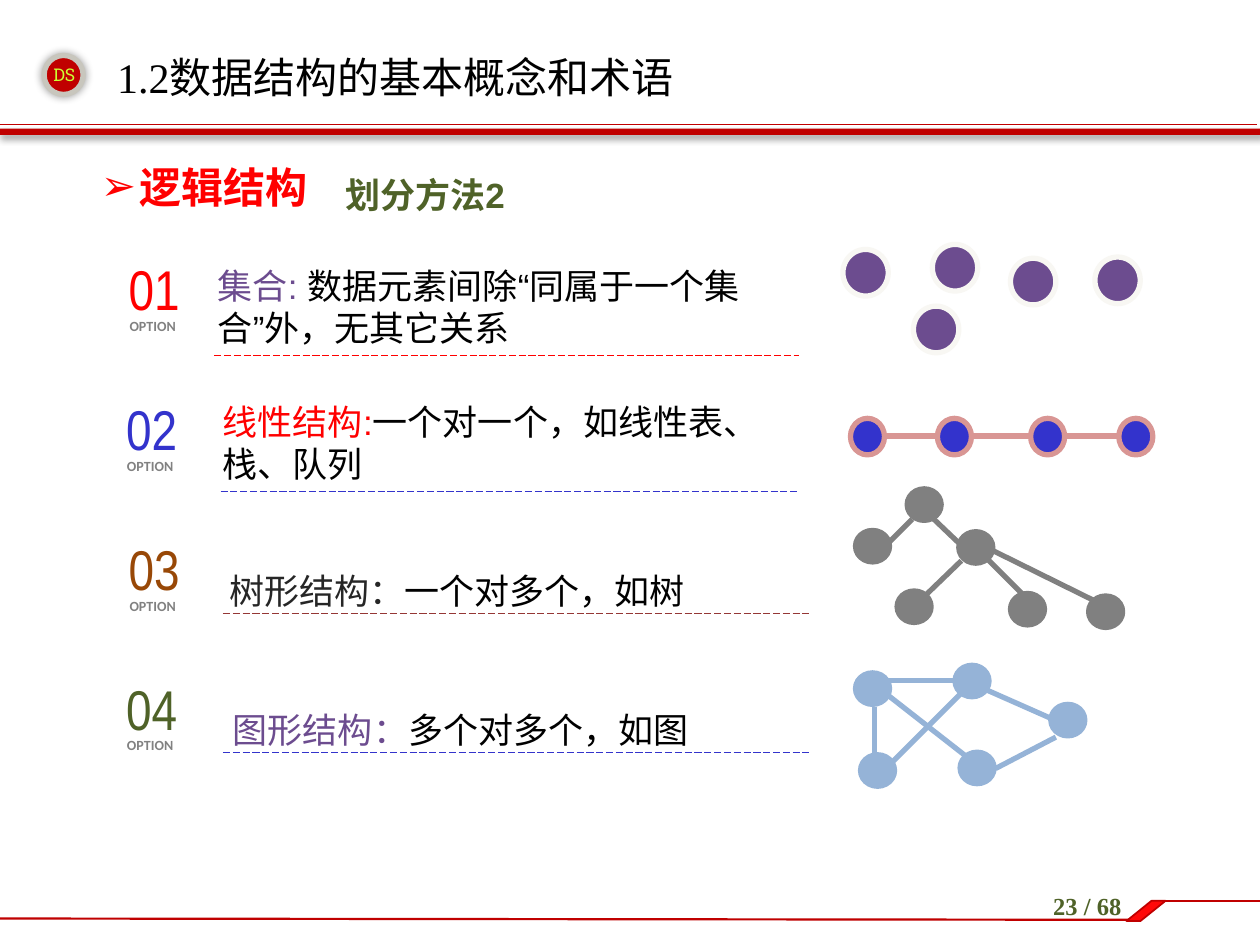
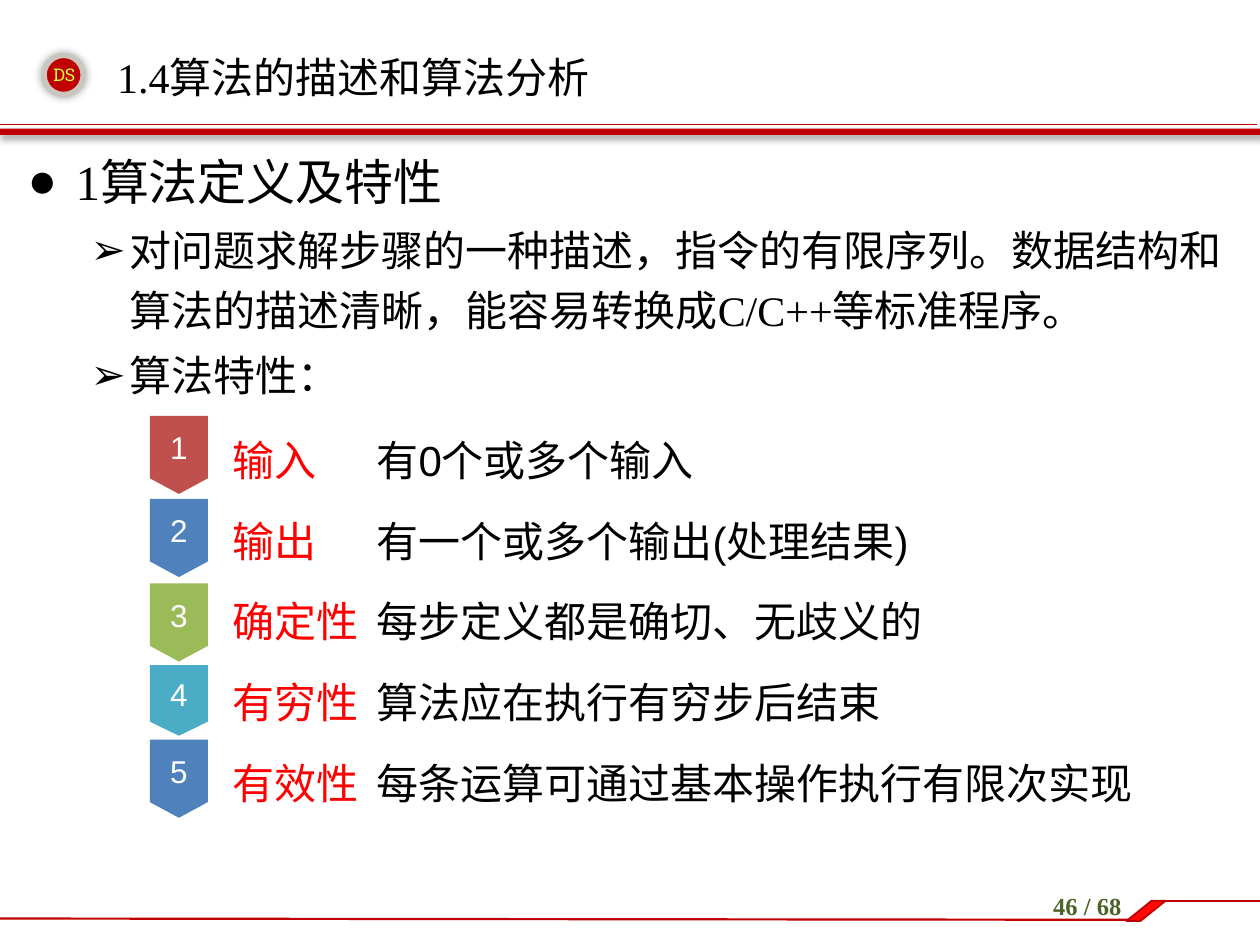
import dataclasses

import lxml.etree
import pptx
import pptx.dml.color
import pptx.enum.dml
import pptx.enum.shapes
import pptx.enum.text
import pptx.oxml.ns
import pptx.util

Inches = pptx.util.Inches
Pt = pptx.util.Pt
SHAPE = pptx.enum.shapes.MSO_SHAPE
ALIGN = pptx.enum.text.PP_ALIGN
ANCHOR = pptx.enum.text.MSO_ANCHOR


@dataclasses.dataclass(frozen=True)
class Theme:
    """Colours, fonts and type sizes shared by the slides."""
    black: str = "000000"
    white: str = "FFFFFF"
    red: str = "FF0000"
    band: str = "C00000"
    tab: str = "FF0909"
    ring: str = "C8C6BD"
    lime: str = "CCFF33"
    green: str = "4F6228"
    blue: str = "3333CC"
    brown: str = "984807"
    maroon: str = "953735"
    purple: str = "6C4C8F"
    ink: str = "262626"
    caption: str = "818181"
    pearl: str = "F8F7F3"
    pink: str = "D99694"
    grey: str = "808080"
    sky: str = "95B3D7"
    sans: str = "Arial"
    narrow: str = "Arial Narrow"
    serif: str = "Times New Roman"
    heading_font: str = "Noto Sans CJK SC"
    badge_font: str = "Roboto Slab"
    caption_font: str = "Calibri"
    caption_size: int = 8
    small: int = 10
    footer: int = 14
    label: int = 18
    text: int = 20
    title: int = 24
    heading: int = 28
    number: int = 32


THEME = Theme()


def rgb(colour):
    """Return a colour object for a hexadecimal string."""
    return pptx.dml.color.RGBColor.from_string(colour)


def apply_format(target, values):
    """Set each named attribute of the target."""
    for name, value in values.items():
        setattr(target, name, value)


def add_element(parent, tag, **attributes):
    """Append a drawing element to its parent."""
    return lxml.etree.SubElement(parent, pptx.oxml.ns.qn(tag), attributes)


def add_run(paragraph, text, size, colour, font=THEME.sans, bold=False):
    """Add a run with its typeface, size and colour."""
    run = paragraph.add_run()
    run.text = text
    apply_format(run.font, {"size": Pt(size), "name": font, "bold": bold})
    run.font.color.rgb = rgb(colour)
    add_element(run.font._element, "a:ea", typeface=THEME.sans)


def format_frame(frame, margins=(0.1, 0.05), anchor=ANCHOR.TOP):
    """Set wrapping, insets and anchor of a text frame."""
    side, edge = map(Inches, margins)
    apply_format(frame, {
        "word_wrap": True, "auto_size": pptx.enum.text.MSO_AUTO_SIZE.NONE,
        "margin_left": side, "margin_right": side,
        "margin_top": edge, "margin_bottom": edge, "vertical_anchor": anchor})


def add_text(shapes, box, runs, align=ALIGN.LEFT, spacing=1.0, **frame_format):
    """Add a one-paragraph text box and return its paragraph."""
    frame = shapes.add_textbox(*map(Inches, box)).text_frame
    format_frame(frame, **frame_format)
    paragraph = frame.paragraphs[0]
    for run in runs:
        add_run(paragraph, *run)
    apply_format(paragraph, {"alignment": align, "line_spacing": spacing})
    return paragraph


def add_shadow(shape, blur, distance, angle):
    """Give a shape a soft dark shadow."""
    effects = shape._element.spPr.find(pptx.oxml.ns.qn("a:effectLst"))
    shadow = add_element(effects, "a:outerShdw", blurRad=str(Pt(blur)), dist=str(Pt(distance)),
                         dir=str(angle * 60000), algn="ctr", rotWithShape="0")
    colour = add_element(shadow, "a:srgbClr", val=THEME.black)
    add_element(colour, "a:alpha", val="40000")


def add_shape(shapes, kind, box, fill, line=None, width=0):
    """Add a filled preset shape, outlined when a line colour is given."""
    shape = shapes.add_shape(kind, *map(Inches, box))
    shape.shadow.inherit = False
    shape.fill.solid()
    shape.fill.fore_color.rgb = rgb(fill)
    if line:
        shape.line.color.rgb = rgb(line)
        shape.line.width = Pt(width)
    else:
        shape.line.fill.background()
    return shape


def add_line(shapes, ends, colour, width, dash=None):
    """Add a straight line from its four end coordinates."""
    connector = shapes.add_connector(pptx.enum.shapes.MSO_CONNECTOR.STRAIGHT, *map(Inches, ends))
    connector.line.color.rgb = rgb(colour)
    apply_format(connector.line, {"width": Pt(width), "dash_style": dash})
    add_element(connector._element.spPr, "a:effectLst")


def add_header(slide, title):
    """Add the title, the round badge and the double red band."""
    placeholder = slide.shapes.title
    apply_format(placeholder, {"left": Inches(0.83), "top": Inches(0.3),
                               "width": Inches(7.95), "height": Inches(0.61)})
    format_frame(placeholder.text_frame, anchor=ANCHOR.MIDDLE)
    paragraph = placeholder.text_frame.paragraphs[0]
    paragraph.alignment = ALIGN.LEFT
    add_run(paragraph, title, THEME.title, THEME.black, THEME.serif)
    badge = add_shape(slide.shapes, SHAPE.OVAL, (0.35, 0.44, 0.31, 0.31), THEME.band, THEME.ring, 3)
    add_shadow(badge, 5, 0, 0)
    add_line(slide.shapes, (-0.02, 0.99, 9.98, 0.99), THEME.band, 0.25)
    band = add_shape(slide.shapes, SHAPE.RECTANGLE, (-0.03, 1.02, 10.03, 0.05), THEME.band)
    add_shadow(band, 4, 3, 45)
    add_text(slide.shapes, (0.24, 0.46, 0.54, 0.27),
             [("DS", THEME.small, THEME.lime, THEME.badge_font)], ALIGN.CENTER)


def add_footer(slide, page):
    """Add the stepped red line and the page count."""
    shapes = slide.shapes.add_group_shape().shapes
    add_line(shapes, (0, 7.29, 8.96, 7.3), THEME.band, 1.25)
    add_line(shapes, (9.17, 7.15, 10, 7.15), THEME.band, 1.5)
    step = add_shape(shapes, SHAPE.PARALLELOGRAM, (8.94, 7.15, 0.31, 0.16), THEME.tab, THEME.band, 1)
    step.adjustments[0] = 1.24
    add_text(slide.shapes, (8, 7.02, 1.26, 0.4),
             [(f"{page} / 68", THEME.footer, THEME.green, THEME.serif, True)], ALIGN.CENTER)


def add_slide(presentation, title, page):
    """Add a slide with the shared header and footer."""
    slide = presentation.slides.add_slide(presentation.slide_layouts[1])
    add_header(slide, title)
    add_footer(slide, page)
    return slide


def fill_body(slide, box, items):
    """Fill the body placeholder with (level, spacing, run) items."""
    body = slide.placeholders[1]
    apply_format(body, dict(zip(("left", "top", "width", "height"), map(Inches, box))))
    frame = body.text_frame
    format_frame(frame)
    styles = ((0.38, -0.38, "●"), (0.81, -0.31, "➢"))
    for index, (level, spacing, run) in enumerate(items):
        paragraph = frame.add_paragraph() if index else frame.paragraphs[0]
        margin, indent, bullet = styles[level]
        properties = paragraph._element.get_or_add_pPr()
        properties.set("marL", str(Inches(margin)))
        properties.set("indent", str(Inches(indent)))
        add_element(properties, "a:buFont", typeface=THEME.sans)
        add_element(properties, "a:buChar", char=bullet)
        apply_format(paragraph, {"level": level, "line_spacing": spacing,
                                 "space_before": Pt(2.4 if index else 0)})
        add_run(paragraph, *run)


def add_option(slide, left, top, number, colour):
    """Add an option number with its caption."""
    shapes = slide.shapes.add_group_shape().shapes
    add_text(shapes, (left, top, 0.51, 0.54), [(number, THEME.number, colour, THEME.narrow)],
             margins=(0, 0), anchor=ANCHOR.MIDDLE)
    add_text(shapes, (left - 0.09, top + 0.45, 0.63, 0.24),
             [("OPTION", THEME.caption_size, THEME.caption, THEME.caption_font, True)])


def add_diagram(slide, origin, node_size, nodes, edges, fill, line):
    """Add nodes and edges placed relative to the origin."""
    shapes = slide.shapes.add_group_shape().shapes
    left, top = origin
    for x, y in nodes:
        add_shape(shapes, SHAPE.OVAL, (left + x, top + y, *node_size), fill, line, 3)
    for x1, y1, x2, y2 in edges:
        add_line(shapes, (left + x1, top + y1, left + x2, top + y2), line, 3)


def build_structures(presentation):
    """Build the slide on the four logical structures."""
    slide = add_slide(presentation, "1.2数据结构的基本概念和术语", 23)
    fill_body(slide, (0.2, 1.23, 3.01, 1.27),
              [(1, 1.0, ("逻辑结构", THEME.title, THEME.red, THEME.heading_font, True))])
    add_text(slide.shapes, (2.64, 1.23, 3.15, 0.79),
             [("划分方法2", THEME.text, THEME.green, THEME.sans, True)], spacing=1.3)
    options = (
        (1.02, THEME.red, "集合: ", THEME.purple, "数据元素间除“同属于一个集合”外，无其它关系",
         (1.63, 2.05, 4.71, 0.77), 1.0, (1.7, 6.34), THEME.red),
        (1.0, THEME.blue, "线性结构:", THEME.red, "一个对一个，如线性表、栈、队列",
         (1.67, 3.13, 4.59, 0.77), 1.0, (1.75, 6.34), THEME.blue),
        (1.02, THEME.brown, "树形结构：", THEME.ink, "一个对多个，如树",
         (1.72, 4.39, 4.6, 0.48), 1.25, (1.77, 6.42), THEME.maroon),
        (1.0, THEME.green, "图形结构：", THEME.purple, "多个对多个，如图",
         (1.75, 5.49, 4.6, 0.48), 1.25, (1.77, 6.42), THEME.blue))
    for index, (left, colour, name, name_colour, meaning, box, spacing, ends, rule) in enumerate(options):
        add_option(slide, left, 2.02 + 1.11 * index, f"{index + 1:02}", colour)
        add_text(slide.shapes, box, [(name, THEME.text, name_colour),
                                     (meaning, THEME.text, THEME.black)], spacing=spacing)
        bottom = box[1] + box[3]
        add_line(slide.shapes, (ends[0], bottom, ends[1], bottom), rule, 0.5,
                 pptx.enum.dml.MSO_LINE.LONG_DASH)
    add_diagram(slide, (6.69, 1.94), (0.36, 0.37),
                ((0, 0.04), (0.71, 0), (0.56, 0.49), (1.33, 0.11), (2, 0.1)),
                (), THEME.purple, THEME.pearl)
    add_diagram(slide, (6.75, 3.32), (0.27, 0.29),
                ((0, 0), (0.69, 0), (1.43, 0), (2.13, 0)),
                ((0.27, 0.14, 0.68, 0.14), (0.96, 0.14, 1.44, 0.14), (1.69, 0.14, 2.12, 0.14)),
                THEME.blue, THEME.pink)
    add_diagram(slide, (6.79, 3.88), (0.27, 0.25),
                ((0.41, 0), (0, 0.33), (0.82, 0.34), (0.33, 0.81), (1.23, 0.83), (1.85, 0.85)),
                ((0.45, 0.24, 0.26, 0.43), (0.84, 0.57, 0.55, 0.85), (0.6, 0.22, 0.82, 0.43),
                 (1.03, 0.54, 1.34, 0.85), (1.09, 0.49, 1.9, 0.89)),
                THEME.grey, THEME.grey)
    add_diagram(slide, (6.79, 5.28), (0.27, 0.25),
                ((0.79, 0), (0.04, 0.71), (0.83, 0.69), (1.55, 0.31), (0, 0.06)),
                ((0.15, 0.33, 0.15, 0.76), (0.26, 0.24, 0.9, 0.74), (1.05, 0.2, 1.57, 0.43),
                 (0.84, 0.22, 0.28, 0.78), (1.59, 0.57, 1.11, 0.82), (0.26, 0.12, 0.8, 0.12)),
                THEME.sky, THEME.sky)


def add_property(slide, left, top, badge, number, name, meaning):
    """Add a numbered badge with a property and its meaning."""
    badge_top, badge_height, fill = badge
    shape = add_shape(slide.shapes, SHAPE.FLOWCHART_OFFPAGE_CONNECTOR,
                      (left, badge_top, 0.46, badge_height), fill)
    format_frame(shape.text_frame, (0, 0), ANCHOR.MIDDLE)
    label = shape.text_frame.paragraphs[0]
    label.alignment = ALIGN.CENTER
    add_run(label, str(number), THEME.label, THEME.white)
    paragraph = add_text(slide.shapes, (left + 0.56, top, 7.48, 0.64),
                         [(name + "\t", THEME.title, THEME.red),
                          (meaning, THEME.title, THEME.black)], spacing=1.3)
    tabs = add_element(paragraph._element.get_or_add_pPr(), "a:tabLst")
    add_element(tabs, "a:tab", pos=str(Inches(1.14)), algn="l")


def build_algorithm(presentation):
    """Build the slide on the definition and properties of algorithms."""
    slide = add_slide(presentation, "1.4算法的描述和算法分析", 46)
    definition = "对问题求解步骤的一种描述，指令的有限序列。数据结构和算法的描述清晰，能容易转换成C/C++等标准程序。"
    fill_body(slide, (0.12, 1.15, 9.69, 6.14), [
        (0, 1.0, ("1算法定义及特性", THEME.heading, THEME.black, THEME.serif)),
        (1, 1.2, (definition, THEME.title, THEME.black, THEME.serif)),
        (1, 1.2, ("算法特性：", THEME.title, THEME.black, THEME.serif))])
    properties = (
        ((3.3, 0.62, "C0504D"), "输入", "有0个或多个输入"),
        ((3.96, 0.62, "4F81BD"), "输出", "有一个或多个输出(处理结果)"),
        ((4.63, 0.62, "9BBB59"), "确定性", "每步定义都是确切、无歧义的"),
        ((5.28, 0.56, "4BACC6"), "有穷性", "算法应在执行有穷步后结束"),
        ((5.87, 0.62, "4F81BD"), "有效性", "每条运算可通过基本操作执行有限次实现"))
    for index, (badge, name, meaning) in enumerate(properties):
        add_property(slide, 1.19, 3.28 + 0.64 * index, badge, index + 1, name, meaning)


def main():
    """Build and save the presentation."""
    presentation = pptx.Presentation()
    apply_format(presentation, {"slide_width": Inches(10), "slide_height": Inches(7.5)})
    build_structures(presentation)
    build_algorithm(presentation)
    presentation.save("out.pptx")


if __name__ == "__main__":
    main()
